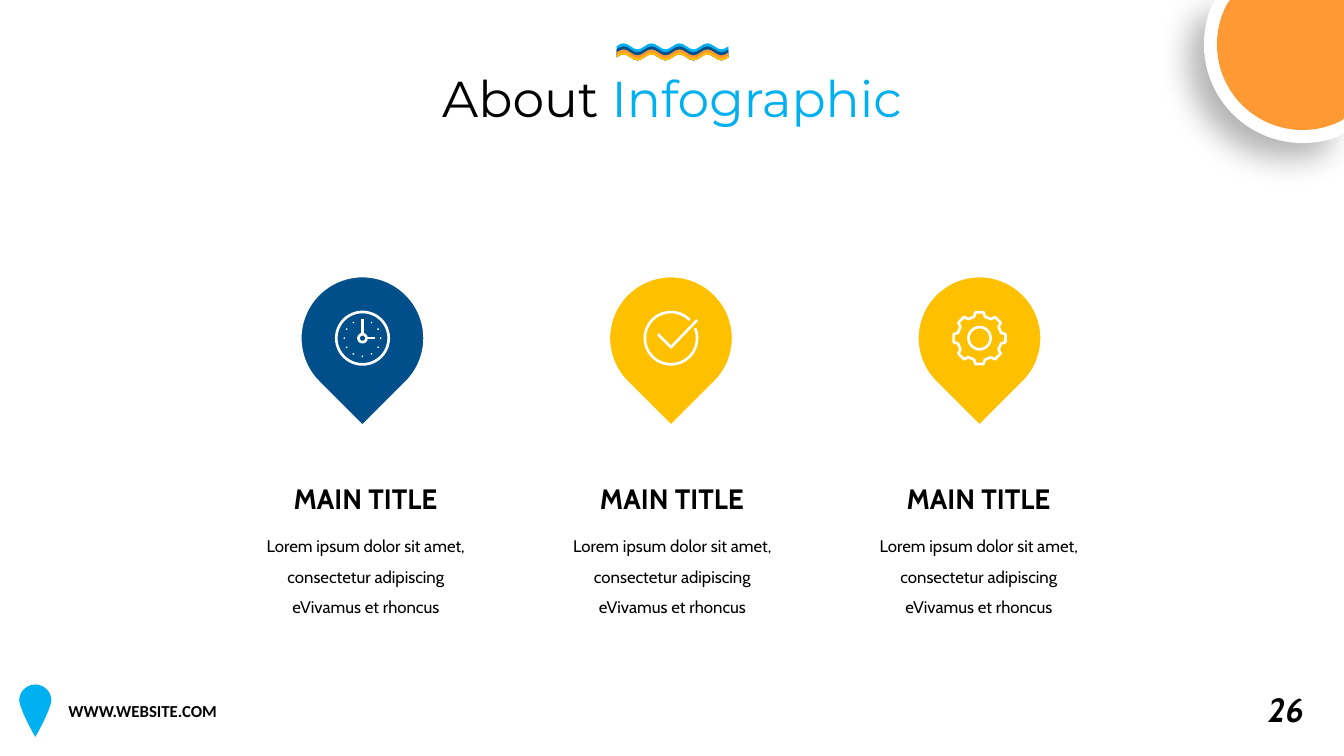
from collections import namedtuple
from dataclasses import dataclass
from math import cos, pi, radians, sin

from lxml.etree import SubElement
from pptx import Presentation
from pptx.dml.color import RGBColor as RGB
from pptx.enum.shapes import MSO_CONNECTOR as Connector, MSO_SHAPE as Preset
from pptx.enum.text import MSO_AUTO_SIZE as AutoSize, PP_ALIGN as Align
from pptx.oxml.ns import qn
from pptx.util import Inches, Pt

Box = namedtuple("Box", "left top width height")


@dataclass(frozen=True)
class Theme:
    black: str = "000000"
    white: str = "FFFFFF"
    sky: str = "00B0F0"
    navy: str = "004F8A"
    orange: str = "FF9933"
    gold: str = "FFC000"
    heading_font: str = "Montserrat"
    body_font: str = "Cabin"
    footer_font: str = "Calibri"
    heading_size: int = 36
    number_size: int = 24
    label_size: int = 20
    body_size: int = 12
    icon_stroke: float = 1.9
    pin_border: int = 6


THEME = Theme()
WIDTH, HEIGHT = 13.33, 7.5
COLUMN_PITCH = 3.04
PIN_PITCH = 3.06


def color(code):
    return RGB.from_string(code)


def paint(shape, fill=None, line=None, weight=THEME.icon_stroke):
    shape.shadow.inherit = False
    if fill:
        shape.fill.solid()
        shape.fill.fore_color.rgb = color(fill)
    else:
        shape.fill.background()
    if line:
        shape.line.color.rgb = color(line)
        shape.line.width = Pt(weight)
    else:
        shape.line.fill.background()
    return shape


def outline(page, *contours, close=True, **style):
    """Draw one freeform from contours whose points are in inches."""
    paths = [[(Inches(x), Inches(y)) for x, y in points] for points in contours]
    builder = page.shapes.build_freeform(*paths[0][0], scale=1.0)
    for number, spots in enumerate(paths):
        if number:
            builder.move_to(*spots[0])
        builder.add_line_segments(spots[1:], close=close)
    return paint(builder.convert_to_shape(), **style)


def polar(center, radius, degrees):
    angle = radians(degrees)
    return center[0] + radius * cos(angle), center[1] + radius * sin(angle)


def circle(page, center, radius, **style):
    corner = [Inches(value - radius) for value in center]
    size = Inches(2 * radius)
    return paint(page.shapes.add_shape(Preset.OVAL, *corner, size, size), **style)


def write(page, box, spans, size, font, bold=False, italic=False,
          align=Align.LEFT, spacing=None, wrap=True):
    """Place one paragraph made of (text, colour) spans."""
    frame = page.shapes.add_textbox(*map(Inches, box)).text_frame
    frame.word_wrap = wrap
    frame.auto_size = AutoSize.SHAPE_TO_FIT_TEXT
    para = frame.paragraphs[0]
    para.alignment = align
    if spacing:
        para.line_spacing = spacing
    para.font.size, para.font.name = Pt(size), font
    para.font.bold, para.font.italic = bold, italic
    for text, code in spans:
        span = para.add_run()
        span.text = text
        span.font.color.rgb = color(code)


def corner_disc(page, center, radius, rim):
    """Two discs cut off by the top and right edges of the slide."""
    discs = []
    for reach, fill in ((radius, THEME.white), (radius - rim, THEME.orange)):
        arc = [polar(center, reach, degrees) for degrees in range(60, 213, 4)]
        points = [(min(x, WIDTH), max(y, 0)) for x, y in arc]
        discs.append(outline(page, points + [(WIDTH, 0)], fill=fill))
    effects = discs[0].element.spPr.find(qn("a:effectLst"))
    shadow = SubElement(effects, qn("a:outerShdw"), blurRad=str(Pt(23)),
                        dist=str(Pt(15)), dir=str(135 * 60000), rotWithShape="0")
    tint = SubElement(shadow, qn("a:srgbClr"), val=THEME.black)
    SubElement(tint, qn("a:alpha"), val="29000")


def wave_ribbon(page, box):
    """Four overlapping bands that share one wavy lower edge."""
    swing, steps, waves = 0.03, 32, 4

    def edge(middle):
        return [(box.left + box.width * step / steps,
                 middle - swing * sin(2 * pi * waves * step / steps))
                for step in range(steps + 1)]

    lower = edge(box.top + box.height - swing)[::-1]
    bands = (THEME.sky, THEME.navy, THEME.orange, THEME.gold)
    for row, fill in enumerate(bands):
        outline(page, edge(box.top + swing + 0.03 * row) + lower, fill=fill)


def header(page, box):
    write(page, box, [("About ", THEME.black), ("Infographic", THEME.sky)],
          THEME.heading_size, THEME.heading_font, align=Align.CENTER, wrap=False)
    wave_ribbon(page, Box(box.left + box.width / 2 - 0.55, box.top - 0.19, 1.11, 0.17))


def footer(page, box):
    radius, tip, steps = 0.16, 0.36, 8
    center = (box.left + radius, box.top + radius)
    top = [polar(center, radius, degrees) for degrees in range(180, 361, 15)]
    taper = [(radius * (1 - (step / steps) ** 1.3), center[1] + tip * step / steps)
             for step in range(1, steps + 1)]
    right = [(center[0] + half, y) for half, y in taper]
    left = [(center[0] - half, y) for half, y in taper[::-1]]
    outline(page, top + right + left, fill=THEME.sky)
    write(page, Box(box.left + 0.39, box.top + 0.11, 2.53, 0.3),
          [("WWW.WEBSITE.COM", THEME.black)], THEME.body_size, THEME.footer_font, bold=True)
    write(page, Box(box.left + box.width - 0.59, box.top, 0.59, 0.5),
          [("26", THEME.black)], THEME.number_size, THEME.body_font,
          bold=True, italic=True, wrap=False)


def clock_icon(page, center):
    x, y = center
    circle(page, center, 0.26, line=THEME.white)
    circle(page, center, 0.04, line=THEME.white)
    marks = [polar(center, 0.18, hour * 30 - 60) for hour in range(11)]
    outline(page, *[[polar(mark, 0.01, turn) for turn in range(45, 360, 90)]
                    for mark in marks], fill=THEME.white)
    for ends in ((x, y - 0.04, x, y - 0.19), (x + 0.04, y, x + 0.12, y)):
        hand = page.shapes.add_connector(Connector.STRAIGHT, *map(Inches, ends))
        hand.line.color.rgb = color(THEME.white)
        hand.line.width = Pt(THEME.icon_stroke)
        SubElement(hand.element.spPr, qn("a:effectLst"))


def check_icon(page, center):
    ring = [polar(center, 0.26, degrees) for degrees in range(-22, 317, 13)]
    tick = [(center[0] + x, center[1] + y)
            for x, y in ((-0.13, -0.04), (0, 0.09), (0.26, -0.18))]
    outline(page, ring, tick, close=False, line=THEME.white)


def gear_icon(page, center):
    tooth = ((-9, 0.26), (9, 0.26), (14, 0.22), (31, 0.22))
    outline(page, [polar(center, reach, 45 * turn + degrees)
                   for turn in range(8) for degrees, reach in tooth], line=THEME.white)
    circle(page, center, 0.11, line=THEME.white)


def map_pin(page, box, fill, draw_icon):
    drop = page.shapes.add_shape(Preset.TEAR, *map(Inches, box))
    drop.rotation = 135
    paint(drop, fill=fill, line=THEME.white, weight=THEME.pin_border)
    draw_icon(page, (box.left + box.width / 2, box.top + box.height / 2))


def caption(page, box):
    write(page, Box(box.left + 0.12, box.top, box.width - 0.25, 0.44),
          [("MAIN TITLE", THEME.black)], THEME.label_size, THEME.body_font,
          bold=True, align=Align.CENTER)
    write(page, Box(box.left, box.top + 0.44, box.width, 1.01),
          [("Lorem ipsum dolor sit amet, consectetur adipiscing eVivamus et rhoncus",
            THEME.black)], THEME.body_size, THEME.body_font,
          align=Align.CENTER, spacing=1.5)


def infographic_slide(page):
    footer(page, Box(0.19, 6.79, 12.88, 0.52))
    corner_disc(page, (12.92, 0.44), 0.98, 0.13)
    header(page, Box(4.1, 0.62, 5.13, 0.71))
    pins = ((THEME.navy, clock_icon), (THEME.gold, check_icon), (THEME.gold, gear_icon))
    for column, (fill, draw_icon) in enumerate(pins):
        caption(page, Box(2.4 + column * COLUMN_PITCH, 4.73, 2.46, 1.45))
        map_pin(page, Box(2.95 + column * PIN_PITCH, 2.71, 1.29, 1.29), fill, draw_icon)


def main():
    deck = Presentation()
    deck.slide_width, deck.slide_height = Inches(WIDTH), Inches(HEIGHT)
    infographic_slide(deck.slides.add_slide(deck.slide_layouts[6]))
    deck.save("out.pptx")


if __name__ == "__main__":
    main()
